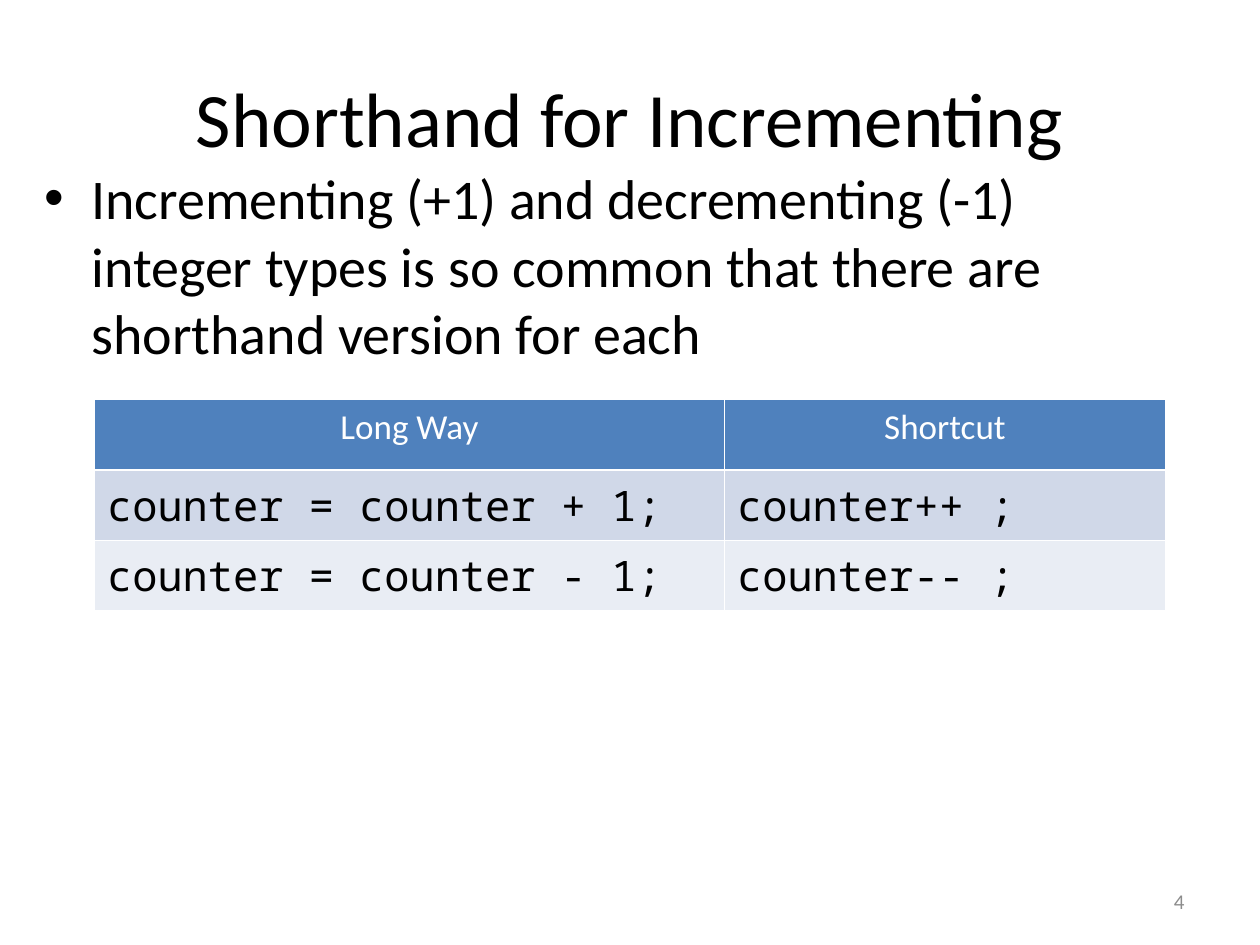
from pptx import Presentation
from pptx.dml.color import RGBColor
from pptx.enum.text import MSO_ANCHOR, PP_ALIGN
from pptx.util import Inches, Pt

COLORS = {
    "text": "000000",
    "header": "4F81BD",
    "header_text": "FFFFFF",
    "band_dark": "D0D8E8",
    "band_light": "E9EDF4",
    "number": "8C8C8C",
}
BODY_FONT, CODE_FONT = "Calibri", "Noto Sans Mono"


class SlideBuilder:
    """Holds the style and the current slide."""

    def __init__(self, prs):
        self.s = prs.slides.add_slide(prs.slide_layouts[1])

    def set_text(self, tf, text, size, color="text", font=BODY_FONT, align=PP_ALIGN.LEFT):
        tf.text = text
        p = tf.paragraphs[0]
        p.alignment = align
        p.font.size, p.font.name, p.font.bold = Pt(size), font, False
        p.font.color.rgb = RGBColor.from_string(COLORS[color])

    def place(self, sp, left, top, width, height):
        sp.left, sp.top = Inches(left), Inches(top)
        sp.width, sp.height = Inches(width), Inches(height)

    def title(self, text, *box):
        sp = self.s.shapes.title
        self.place(sp, *box)
        sp.text_frame.vertical_anchor = MSO_ANCHOR.MIDDLE
        self.set_text(sp.text_frame, text, 44, align=PP_ALIGN.CENTER)

    def body(self, text, *box):
        sp = self.s.placeholders[1]
        self.place(sp, *box)
        self.set_text(sp.text_frame, text, 32)

    def table(self, rows, left, top, col_widths, row_height):
        # The default table style supplies the white cell borders
        table = self.s.shapes.add_table(
            len(rows), len(col_widths), Inches(left), Inches(top),
            Inches(sum(col_widths)), Inches(row_height * len(rows))).table
        for col, width in zip(table.columns, col_widths):
            col.width = Inches(width)
        for i, row in enumerate(rows):
            fill = "header" if i == 0 else "band_dark" if i % 2 else "band_light"
            for j, text in enumerate(row):
                cell = table.cell(i, j)
                cell.fill.solid()
                cell.fill.fore_color.rgb = RGBColor.from_string(COLORS[fill])
                if i == 0:
                    self.set_text(cell.text_frame, text, 20, "header_text",
                                  align=PP_ALIGN.CENTER)
                else:
                    self.set_text(cell.text_frame, text, 24, font=CODE_FONT)

    def number(self, text, *box):
        tf = self.s.shapes.add_textbox(*map(Inches, box)).text_frame
        tf.word_wrap = True
        tf.vertical_anchor = MSO_ANCHOR.MIDDLE
        self.set_text(tf, text, 12, "number", align=PP_ALIGN.RIGHT)


def main():
    prs = Presentation()
    prs.slide_width, prs.slide_height = Inches(10), Inches(7.5)
    slide = SlideBuilder(prs)

    # Title and bullet
    slide.title("Shorthand for Incrementing", 0.5, 0.3, 9, 1.25)
    slide.body("Incrementing (+1) and decrementing (-1) integer types is so common "
               "that there are shorthand version for each", 0.25, 1.25, 9.25, 2.25)

    # Comparison of long and short forms
    slide.table([
        ("Long Way", "Shortcut"),
        ("counter = counter + 1;", "counter++ ;"),
        ("counter = counter - 1;", "counter-- ;"),
    ], 0.75, 3.17, (5, 3.5), 0.56)

    # Slide number
    slide.number("4", 7.17, 6.95, 2.33, 0.4)

    prs.save("out.pptx")


if __name__ == "__main__":
    main()
